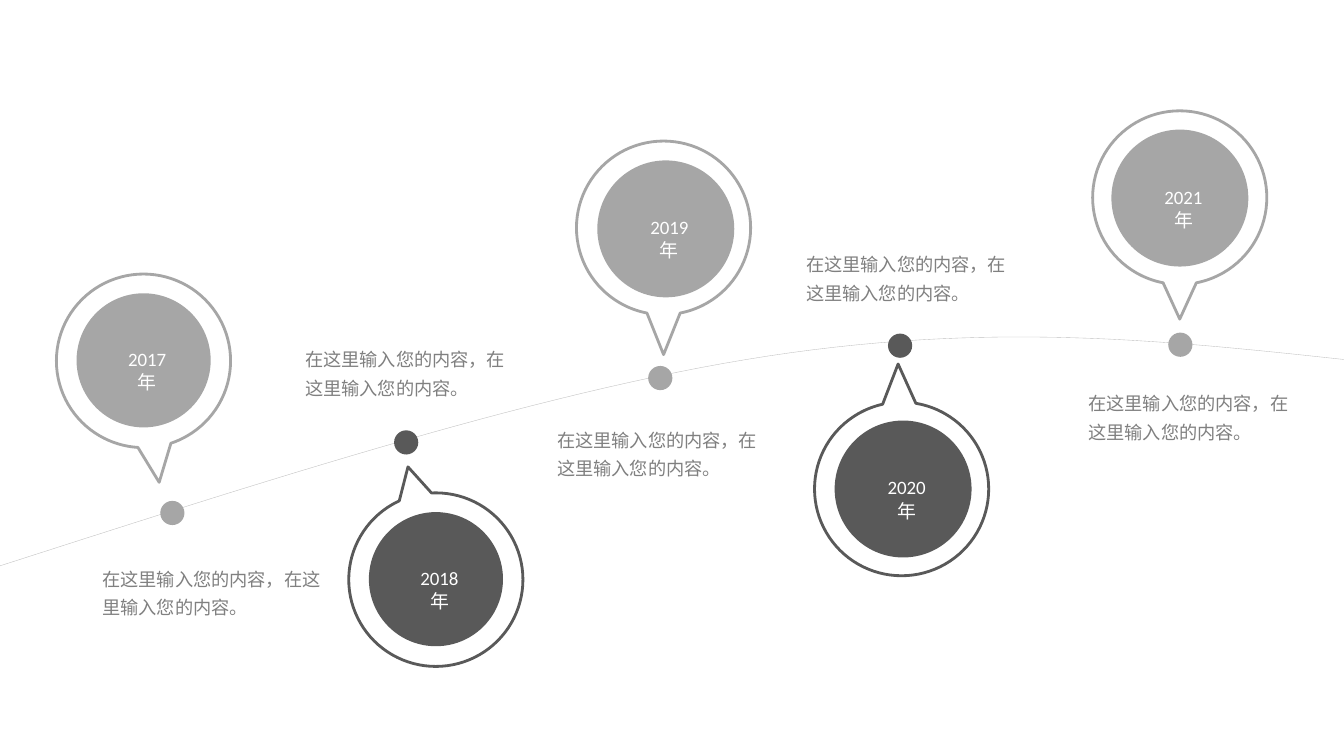
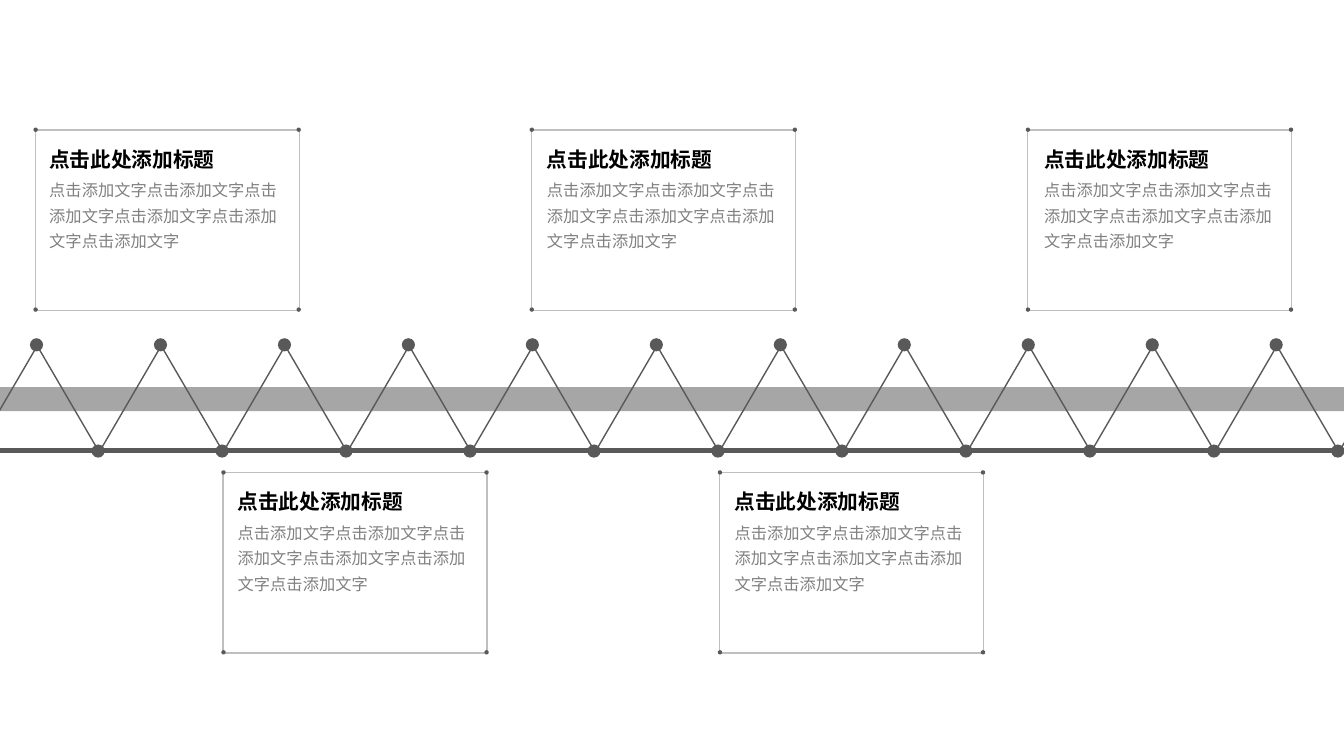
from lxml import etree
from pptx import Presentation
from pptx.dml.color import RGBColor
from pptx.enum.shapes import MSO_CONNECTOR, MSO_SHAPE
from pptx.enum.text import PP_ALIGN
from pptx.oxml.ns import qn
from pptx.util import Pt

ELLIPSE = MSO_SHAPE.OVAL
CALLOUT = MSO_SHAPE.OVAL_CALLOUT
RECTANGLE = MSO_SHAPE.RECTANGLE
TRIANGLE = MSO_SHAPE.ISOSCELES_TRIANGLE
STRAIGHT = MSO_CONNECTOR.STRAIGHT
LEFT, CENTER = PP_ALIGN.LEFT, PP_ALIGN.CENTER


def color(value):
    return RGBColor.from_string(value)


def bezier(start, first, second, end, steps=30):
    for step in range(1, steps + 1):
        t = step / steps
        u = 1 - t
        yield tuple(
            u**3 * a + 3 * u * u * t * b + 3 * u * t * t * c + t**3 * d
            for a, b, c, d in zip(start, first, second, end)
        )


class Deck:
    """Holds the shared style and the slide being drawn."""

    DARK, MIDDLE, PALE = "595959", "A6A6A6", "BFBFBF"
    GRAY, BLACK, WHITE = "808080", "000000", "FFFFFF"
    CHINESE, LATIN = "Noto Sans CJK SC", "Calibri"

    def __init__(self):
        self.presentation = Presentation()
        self.presentation.slide_width = Pt(960)
        self.presentation.slide_height = Pt(540)
        self.slide = None

    def new_slide(self):
        self.slide = self.presentation.slides.add_slide(self.presentation.slide_layouts[6])

    def paint(self, shape, fill=None, line=None, weight=1):
        shape.shadow.inherit = False
        if fill:
            shape.fill.solid()
            shape.fill.fore_color.rgb = color(fill)
        else:
            shape.fill.background()
        if line:
            shape.line.color.rgb = color(line)
            shape.line.width = Pt(weight)
        else:
            shape.line.fill.background()

    def shape(self, kind, left, top, width, height, **paint):
        shape = self.slide.shapes.add_shape(kind, Pt(left), Pt(top), Pt(width), Pt(height))
        self.paint(shape, **paint)
        return shape

    def dot(self, left, top, size, fill, line=None, weight=2):
        return self.shape(ELLIPSE, left, top, size, size, fill=fill, line=line, weight=weight)

    def curve(self, points, line, weight):
        start, *rest = [(Pt(x), Pt(y)) for x, y in points]
        builder = self.slide.shapes.build_freeform(*start)
        builder.add_line_segments(rest, close=False)
        self.paint(builder.convert_to_shape(), line=line, weight=weight)

    def line(self, left, right, y, line, weight):
        connector = self.slide.shapes.add_connector(STRAIGHT, Pt(left), Pt(y), Pt(right), Pt(y))
        connector.line.color.rgb = color(line)
        connector.line.width = Pt(weight)
        etree.SubElement(connector._element.spPr, qn("a:effectLst"))

    def text(self, text, left, top, width, height, size, ink, spacing,
             font=CHINESE, bold=False, align=LEFT, inset=7.2):
        frame = self.slide.shapes.add_textbox(Pt(left), Pt(top), Pt(width), Pt(height)).text_frame
        frame.word_wrap = True
        frame.margin_left = frame.margin_right = Pt(inset)
        paragraph = frame.paragraphs[0]
        paragraph.text = text
        paragraph.alignment = align
        paragraph.line_spacing = Pt(spacing)
        paragraph.font.size = Pt(size)
        paragraph.font.bold = bold
        paragraph.font.color.rgb = color(ink)
        paragraph.font.name = font
        properties = paragraph._p.pPr.find(qn("a:defRPr"))
        etree.SubElement(properties, qn("a:ea"), typeface=self.CHINESE)

    def milestone(self, year, tone, callout, tail, disc, outlined, dot, note, note_width):
        self.dot(*dot, 17.3, tone)
        self.text("在这里输入您的内容，在这里输入您的内容。", *note, note_width, 68.4,
                  13, self.GRAY, 20.4)
        balloon = self.shape(CALLOUT, *callout, 124.4, 124, line=tone, weight=2)
        balloon.adjustments[0], balloon.adjustments[1] = tail
        self.dot(*disc, 95.8, tone, line=tone if outlined else None)
        self.text(f"{year}年", disc[0] + 22.3, disc[1] + 34.8, 56.2, 23.8, 13.5, self.WHITE,
                  16.5, font=self.LATIN, align=CENTER, inset=10.8)

    def card(self, left, top, text_left):
        self.shape(RECTANGLE, left, top, 188.6, 128.9, line=self.PALE)
        for x in (left - 1.3, left + 186.6):
            for y in (top - 1.8, top + 126.7):
                self.dot(x, y, 3.1, self.DARK)
        self.text("点击此处添加标题", text_left, top + 7.9, 180, 25.2,
                  14.8, self.BLACK, 18, bold=True)
        self.text("点击添加文字" * 6, text_left, top + 28.1, 181.4, 61.9,
                  11.6, self.GRAY, 18.2)


def build_curve_timeline(deck):
    deck.new_slide()
    start, crest, end = (-1.4, 404.6), (549.4, 254.2), (961.9, 257)
    deck.curve(
        [start,
         *bezier(start, (193.7, 342), (388.8, 278.6), crest),
         *bezier(crest, (709.9, 229.7), (835.9, 243.4), end)],
        deck.PALE, 0.25)
    milestones = [
        (2017, deck.MIDDLE, (40.3, 195.8), (0.09, 0.7), (54.7, 209.5), False,
         (114.5, 357.8), (66.2, 397.4), 171.5),
        (2018, deck.DARK, (249.1, 352.1), (-0.16, -0.65), (263.5, 365.8), False,
         (281.5, 307.4), (211, 240.5), 164.2),
        (2019, deck.MIDDLE, (411.8, 100.8), (0, 0.73), (427.7, 115.6), True,
         (463, 261.4), (391, 298.1), 164.2),
        (2020, deck.DARK, (581.8, 287.3), (-0.02, -0.72), (597.2, 301.4), True,
         (634.3, 238.3), (568.8, 172.8), 164.2),
        (2021, deck.MIDDLE, (780.5, 79.2), (0, 0.7), (794.9, 93.6), True,
         (834.5, 237.6), (770.4, 272.2), 164.2),
    ]
    for milestone in milestones:
        deck.milestone(*milestone)


def build_zigzag_timeline(deck):
    deck.new_slide()
    pitch = 88.55
    deck.shape(RECTANGLE, 0, 276.5, 1012.3, 17.3, fill=deck.MIDDLE)
    for index in range(12):
        deck.shape(TRIANGLE, -17.3 + index * pitch, 247, 87.8, 75.2, line=deck.DARK)
    deck.line(-17.3, 1043.3, 321.8, deck.DARK, 3)
    for index in range(11):
        deck.dot(21.4 + index * pitch, 241.6, 9.4, deck.DARK)
        deck.dot(65.4 + index * pitch, 317.5, 9.4, deck.DARK)
    upper, lower = 92.9, 337.7
    for left, top, text_left in [
        (25.2, upper, 28.1), (379.6, upper, 383.6), (734, upper, 738.7),
        (159.4, lower, 162.7), (514, lower, 517.7),
    ]:
        deck.card(left, top, text_left)


def main():
    deck = Deck()
    build_curve_timeline(deck)
    build_zigzag_timeline(deck)
    deck.presentation.save("out.pptx")


if __name__ == "__main__":
    main()
